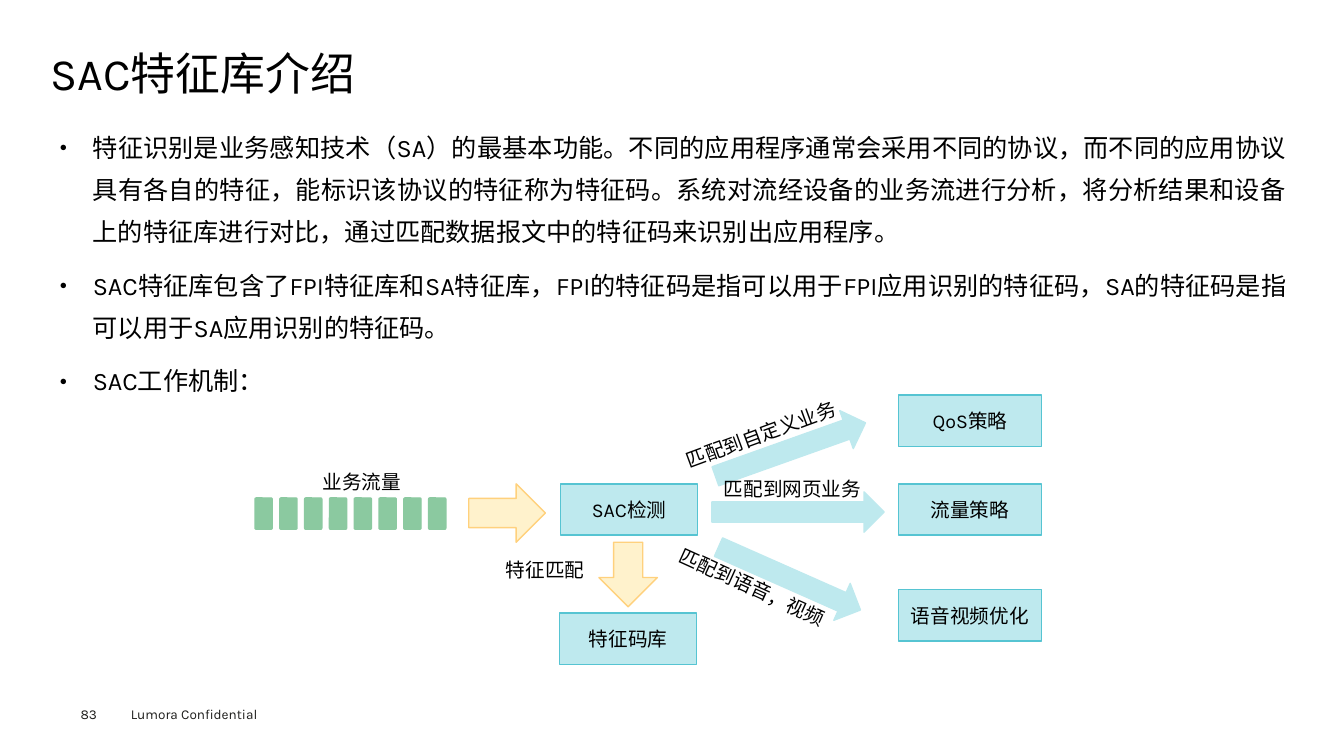
from dataclasses import dataclass
from pptx import Presentation, util as u
from pptx.dml.color import RGBColor
from pptx.enum import shapes, text
from pptx.oxml import parse_xml
from pptx.oxml.ns import nsdecls

TITLE = "SAC特征库介绍"
POINTS = [
    "特征识别是业务感知技术（SA）的最基本功能。不同的应用程序通常会采用不同的协议，而不同的应用协议具有各自的特征，"
    "能标识该协议的特征称为特征码。系统对流经设备的业务流进行分析，将分析结果和设备上的特征库进行对比，"
    "通过匹配数据报文中的特征码来识别出应用程序。",
    "SAC特征库包含了FPI特征库和SA特征库，FPI的特征码是指可以用于FPI应用识别的特征码，"
    "SA的特征码是指可以用于SA应用识别的特征码。",
    "SAC工作机制：",
]
FOOTER = [("Lumora Confidential", (1.2, 6.95, 1.6, 0.27), 0.1, 0.05),
          ("83", (0.8, 7, 0.55, 0.16), 0, 0)]
STEPS = [("SAC检测", 5.56, 4.8), ("特征码库", 5.55, 6.08)]
POLICIES = [("QoS策略", 3.92), ("流量策略", 4.8), ("语音视频优化", 5.85)]
FLOWS = [((4.65, 4.8, 0.76, 0.58), 0), ((5.91, 5.41, 0.64, 0.58), 90)]
MATCHES = [((7.05, 4.26, 1.58, 0.4), -19.6),
           ((7.06, 5.54, 1.54, 0.4), 23.9),
           ((7.06, 4.88, 1.71, 0.4), 0)]
LABELS = [("业务流量", 3.1, 4.61, 0.99, 0), ("特征匹配", 4.92, 5.49, 0.99, 0),
          ("匹配到语音，视频", 6.58, 5.66, 1.77, 24.5),
          ("匹配到自定义业务", 6.67, 4.14, 1.77, -20.2),
          ("匹配到网页业务", 7.08, 4.68, 1.58, 0)]
PACKETS = 8


@dataclass(frozen=True)
class Theme:
    """Fonts, sizes and colours of the slide."""
    font: str = "Karla"
    ink: str = "000000"
    foot: str = "1D1D1B"
    green: str = "8BC9A0"
    aqua: str = "BEE9EE"
    teal: str = "56C4D2"
    cream: str = "FFF2CC"
    gold: str = "FFD17D"
    title: float = 32
    body: float = 18
    label: float = 14
    small: float = 9.7


T = Theme()
A, M = text.PP_ALIGN, text.MSO_ANCHOR
G = shapes.MSO_SHAPE


def rgb(code):
    """Turn a hex code into a colour."""
    return RGBColor.from_string(code)


def inch(box):
    """Turn a tuple of inches into lengths."""
    return [u.Inches(v) for v in box]


def write(shape, *lines, size=T.label, color=T.ink, align=A.LEFT, anchor=M.TOP,
          pad=(0.1, 0.05), wrap=True, space=None, before=0, bullet=False):
    """Fill a shape with formatted paragraphs."""
    frame = shape.text_frame
    frame.word_wrap, frame.vertical_anchor = wrap, anchor
    frame.margin_left = frame.margin_right = u.Inches(pad[0])
    frame.margin_top = frame.margin_bottom = u.Inches(pad[1])
    for i, line in enumerate(lines):
        para = frame.add_paragraph() if i else frame.paragraphs[0]
        para.text, para.alignment = line, align
        if space:
            para.line_spacing = space
        if i and before:
            para.space_before = u.Pt(before)
        if bullet:
            props = para._p.get_or_add_pPr()
            props.set("marL", str(u.Inches(0.33)))
            props.set("indent", str(u.Inches(-0.33)))
            for tag in ('buSzPct val="50000"', 'buFont typeface="Arial"', 'buChar char="●"'):
                props.append(parse_xml(f"<a:{tag} {nsdecls('a')}/>"))
        for run in para.runs:
            run.font.size, run.font.name = u.Pt(size), T.font
            run.font.color.rgb = rgb(color)


def draw(slide, kind, box, fill, line, turn=0):
    """Add a filled and outlined preset shape."""
    shape = slide.shapes.add_shape(kind, *inch(box))
    shape.shadow.inherit = False
    shape.fill.solid()
    shape.fill.fore_color.rgb = rgb(fill)
    shape.line.color.rgb = rgb(line)
    shape.line.width = u.Pt(1)
    shape.rotation = turn
    return shape


def note(slide, box, *lines, turn=0, **form):
    """Add a text box."""
    shape = slide.shapes.add_textbox(*inch(box))
    shape.rotation = turn
    write(shape, *lines, **form)


def main():
    """Build the slide and save it."""
    deck = Presentation()
    deck.slide_width, deck.slide_height = inch((13.33, 7.5))
    slide = deck.slides.add_slide(deck.slide_layouts[5])
    title = slide.shapes.title
    title.left, title.top, title.width, title.height = inch((0.5, 0.49, 12.35, 0.53))
    write(title, TITLE, size=T.title, anchor=M.MIDDLE, pad=(0, 0), space=0.9)
    note(slide, (0.5, 1.15, 12.35, 5.34), *POINTS, size=T.body, align=A.JUSTIFY,
         pad=(0.09, 0.04), space=1.4, before=7.9, bullet=True)
    for words, box, side, top in FOOTER:
        note(slide, box, words, size=T.small, color=T.foot, pad=(side, top))

    for i in range(PACKETS):
        bar = draw(slide, G.ROUNDED_RECTANGLE, (2.53 + i * 0.246, 4.94, 0.17, 0.31),
                   T.green, T.green)
        bar.adjustments[0] = 0.067
    boxes = [(words, (x, y, 1.36, 0.51)) for words, x, y in STEPS]
    boxes += [(words, (8.91, y, 1.42, 0.51)) for words, y in POLICIES]
    for words, box in boxes:
        write(draw(slide, G.RECTANGLE, box, T.aqua, T.teal), words,
              align=A.CENTER, anchor=M.MIDDLE)
    for box, turn in FLOWS:
        draw(slide, G.RIGHT_ARROW, box, T.cream, T.gold, turn)
    for box, turn in MATCHES:
        draw(slide, G.RIGHT_ARROW, box, T.aqua, T.aqua, turn)
    for words, x, y, wide, turn in LABELS:
        note(slide, (x, y, wide, 0.34), words, turn=turn, wrap=False)
    deck.save("out.pptx")


if __name__ == "__main__":
    main()
